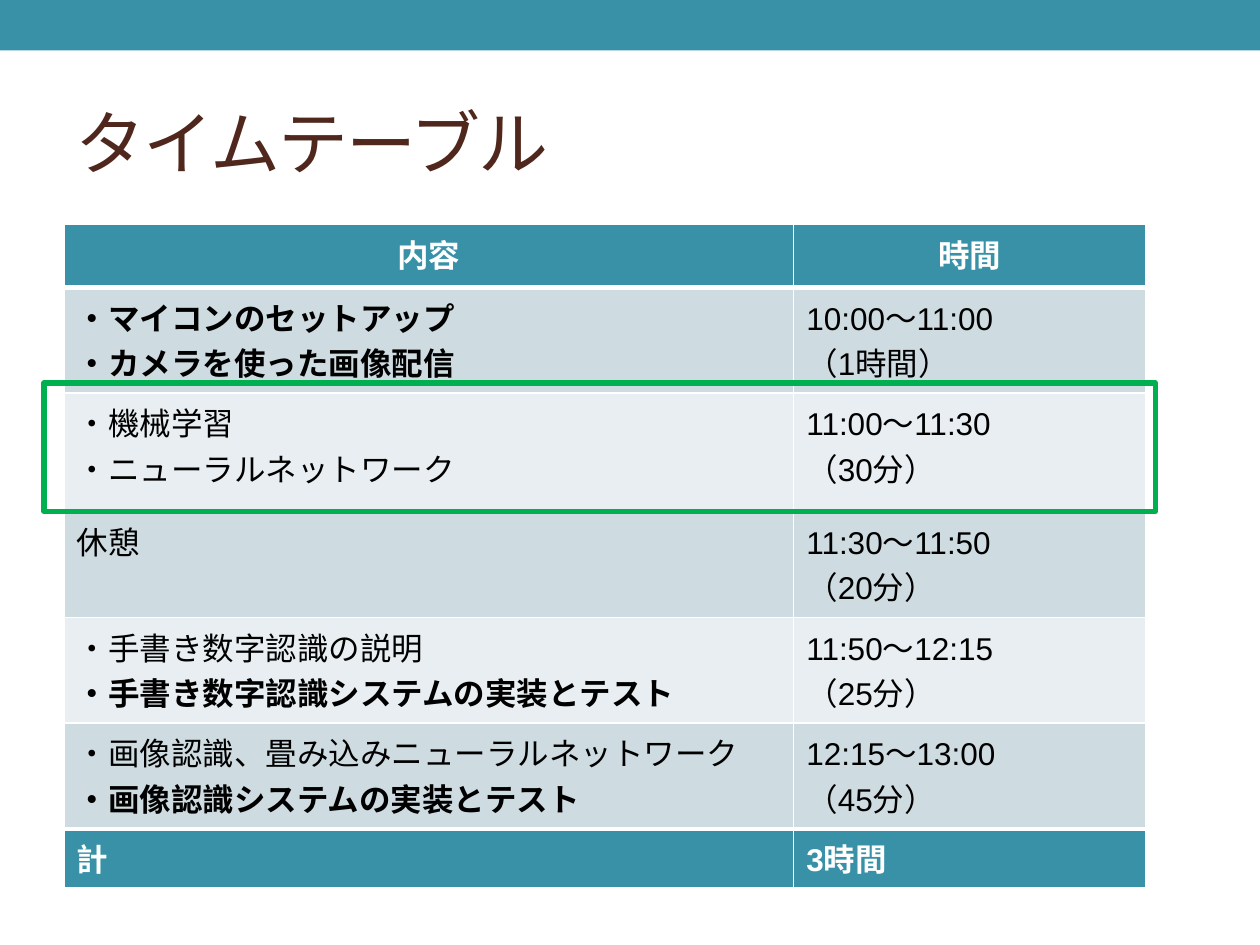
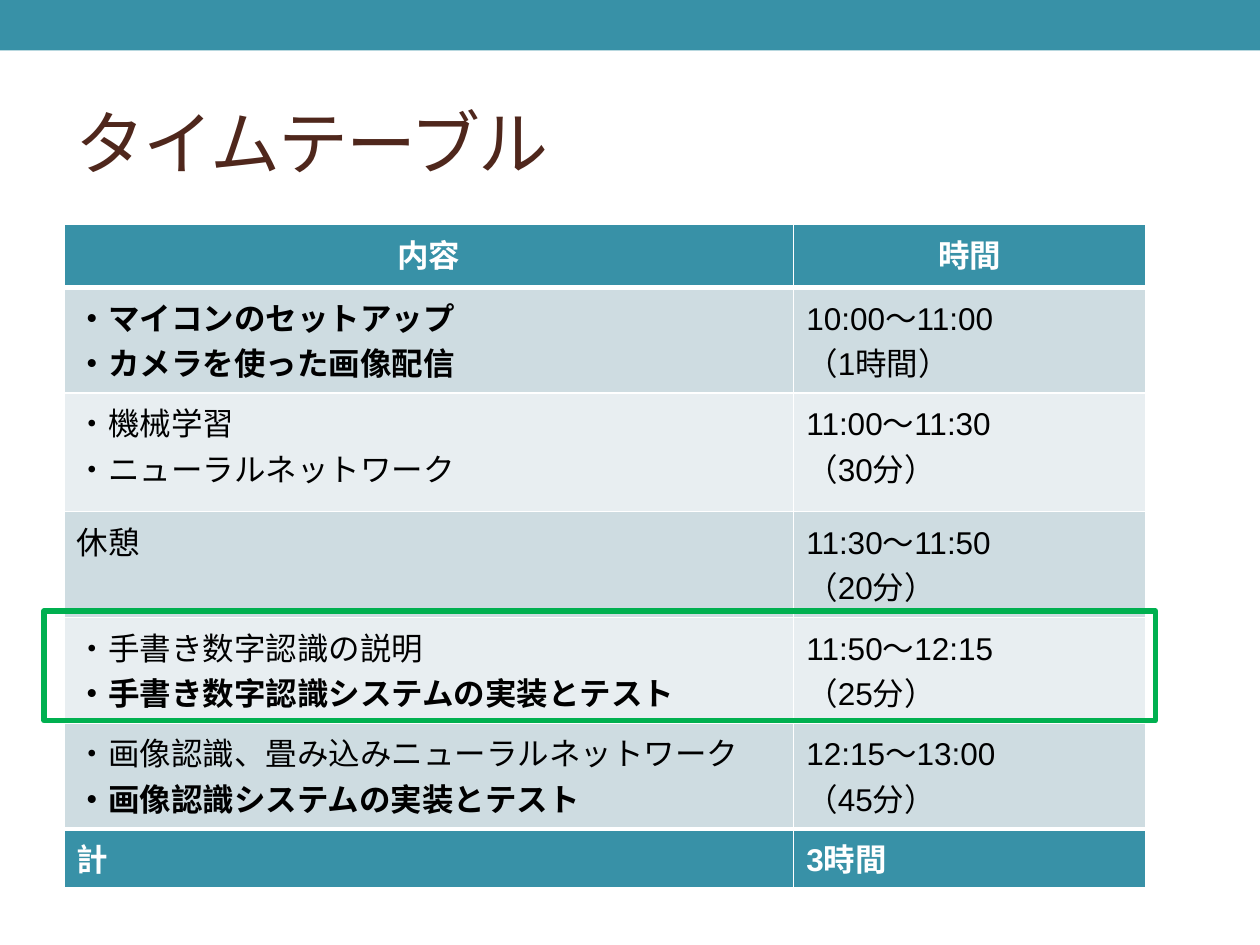
import pptx
import pptx.dml.color
import pptx.enum.shapes
import pptx.enum.text
import pptx.util
import lxml.etree
from pptx.util import Inches

TEAL, BROWN, GREEN = "3891A7", "4F271C", "00B050"
WHITE, BLACK = "FFFFFF", "000000"
BANDS = ["E8EEF1", "CEDCE1"]
FONT = "Arial"
DRAWING = "{http://schemas.openxmlformats.org/drawingml/2006/main}"

COLUMN_WIDTHS = [5.79, 2.79]
ROW_HEIGHTS = [0.5, 0.84, 0.94, 0.84, 0.84, 0.84, 0.47]
TIMETABLE = [
    ("内容", "時間"),
    ("・マイコンのセットアップ\n・カメラを使った画像配信", "10:00～11:00\n（1時間）"),
    ("・機械学習\n・ニューラルネットワーク", "11:00～11:30\n（30分）"),
    ("休憩", "11:30～11:50\n（20分）"),
    ("・手書き数字認識の説明\n・手書き数字認識システムの実装とテスト", "11:50～12:15\n（25分）"),
    ("・画像認識、畳み込みニューラルネットワーク\n・画像認識システムの実装とテスト", "12:15～13:00\n（45分）"),
    ("計", "3時間"),
]
HANDS_ON = ("セットアップ", "画像配信", "実装とテスト")
LAST_ROW = len(TIMETABLE) - 1
HIGHLIGHTS = [(3.04, 1.02), (4.85, 0.87)]


def color(value):
    return pptx.dml.color.RGBColor.from_string(value)


def style_run(run, size, value, bold=False):
    run.font.name = FONT
    run.font.size = pptx.util.Pt(size)
    run.font.bold = bold
    run.font.color.rgb = color(value)


presentation = pptx.Presentation()
presentation.slide_width = Inches(10)
presentation.slide_height = Inches(7.5)

for highlight_top, highlight_height in HIGHLIGHTS:
    slide = presentation.slides.add_slide(presentation.slide_layouts[5])

    band = slide.shapes.add_shape(
        pptx.enum.shapes.MSO_SHAPE.RECTANGLE, 0, 0, Inches(10), Inches(0.4))
    band.shadow.inherit = False
    band.fill.solid()
    band.fill.fore_color.rgb = color(TEAL)
    band.line.fill.background()

    title = slide.shapes.title
    title.left, title.top = Inches(0.5), Inches(0.58)
    title.width, title.height = Inches(9), Inches(1.08)
    title.text_frame.text = "タイムテーブル"
    title.text_frame.vertical_anchor = pptx.enum.text.MSO_ANCHOR.MIDDLE
    title_paragraph = title.text_frame.paragraphs[0]
    title_paragraph.alignment = pptx.enum.text.PP_ALIGN.LEFT
    title_run = title_paragraph.runs[0]
    style_run(title_run, 40, BROWN)
    title_run.font._element.set("spc", "-100")
    east_asian = lxml.etree.SubElement(title_run.font._element, DRAWING + "ea")
    east_asian.set("typeface", FONT)

    table = slide.shapes.add_table(
        len(TIMETABLE), len(COLUMN_WIDTHS), Inches(0.51), Inches(1.78),
        Inches(sum(COLUMN_WIDTHS)), Inches(sum(ROW_HEIGHTS))).table
    for column, width in zip(table.columns, COLUMN_WIDTHS):
        column.width = Inches(width)

    for row_index, (row_texts, height) in enumerate(zip(TIMETABLE, ROW_HEIGHTS)):
        table.rows[row_index].height = Inches(height)
        is_outer = row_index in (0, LAST_ROW)
        border_widths = {
            "lnL": 1,
            "lnR": 1,
            "lnT": 3 if row_index in (1, LAST_ROW) else 1,
            "lnB": 3 if row_index in (0, LAST_ROW - 1) else 1,
        }
        for column_index, text in enumerate(row_texts):
            cell = table.cell(row_index, column_index)
            cell_properties = cell._tc.get_or_add_tcPr()
            for side, width in border_widths.items():
                border = lxml.etree.SubElement(cell_properties, DRAWING + side)
                border.set("w", str(pptx.util.Pt(width)))
                border_fill = lxml.etree.SubElement(border, DRAWING + "solidFill")
                lxml.etree.SubElement(border_fill, DRAWING + "srgbClr").set("val", WHITE)
            cell.fill.solid()
            cell.fill.fore_color.rgb = color(TEAL if is_outer else BANDS[row_index % 2])

            cell.text_frame.text = text
            for paragraph in cell.text_frame.paragraphs:
                if row_index == 0:
                    paragraph.alignment = pptx.enum.text.PP_ALIGN.CENTER
                bold = is_outer or paragraph.text.endswith(HANDS_ON)
                style_run(paragraph.runs[0], 18, WHITE if is_outer else BLACK, bold)

    highlight = slide.shapes.add_shape(
        pptx.enum.shapes.MSO_SHAPE.RECTANGLE, Inches(0.35), Inches(highlight_top),
        Inches(8.82), Inches(highlight_height))
    highlight.shadow.inherit = False
    highlight.fill.background()
    highlight.line.color.rgb = color(GREEN)
    highlight.line.width = pptx.util.Pt(3)

presentation.save("out.pptx")
